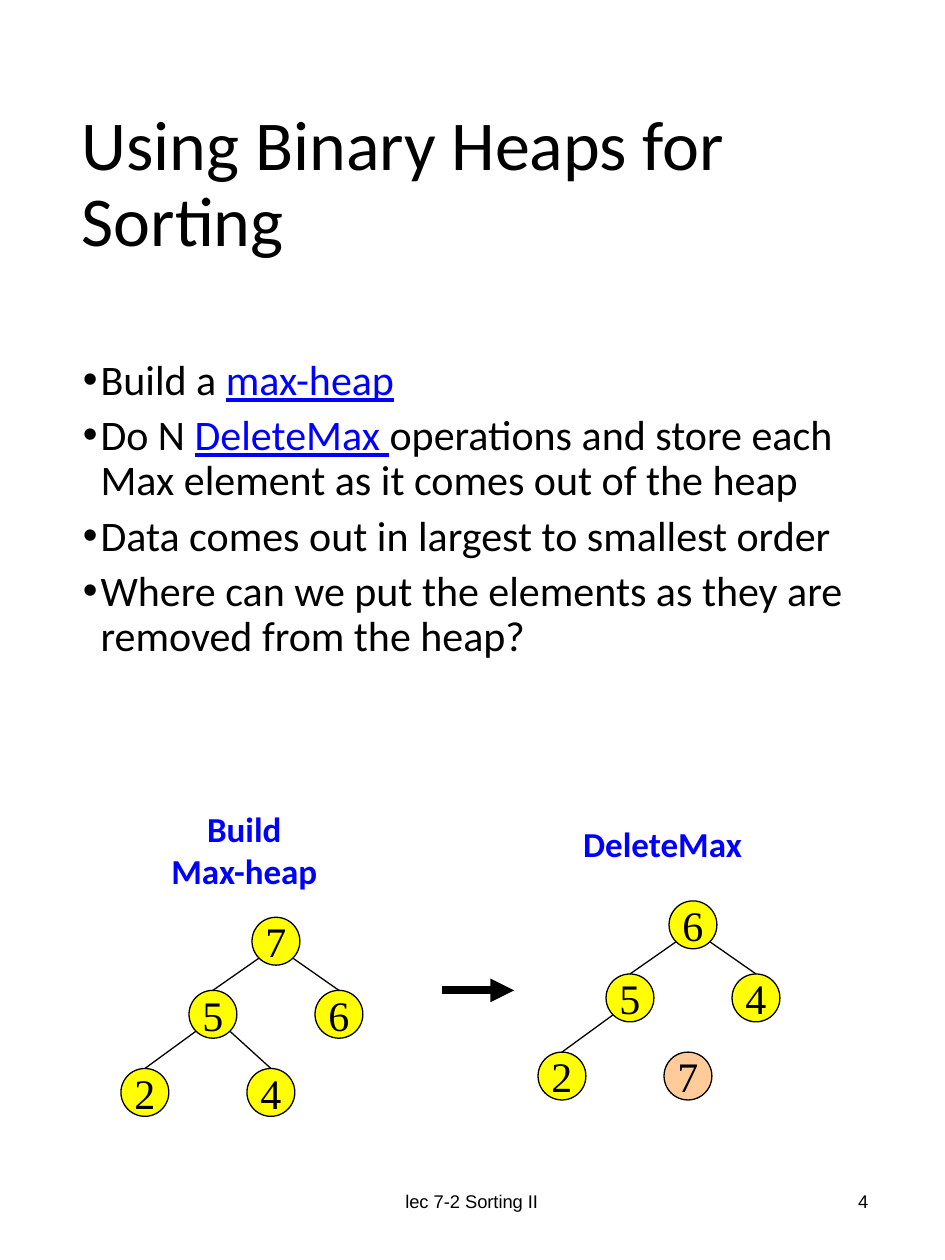
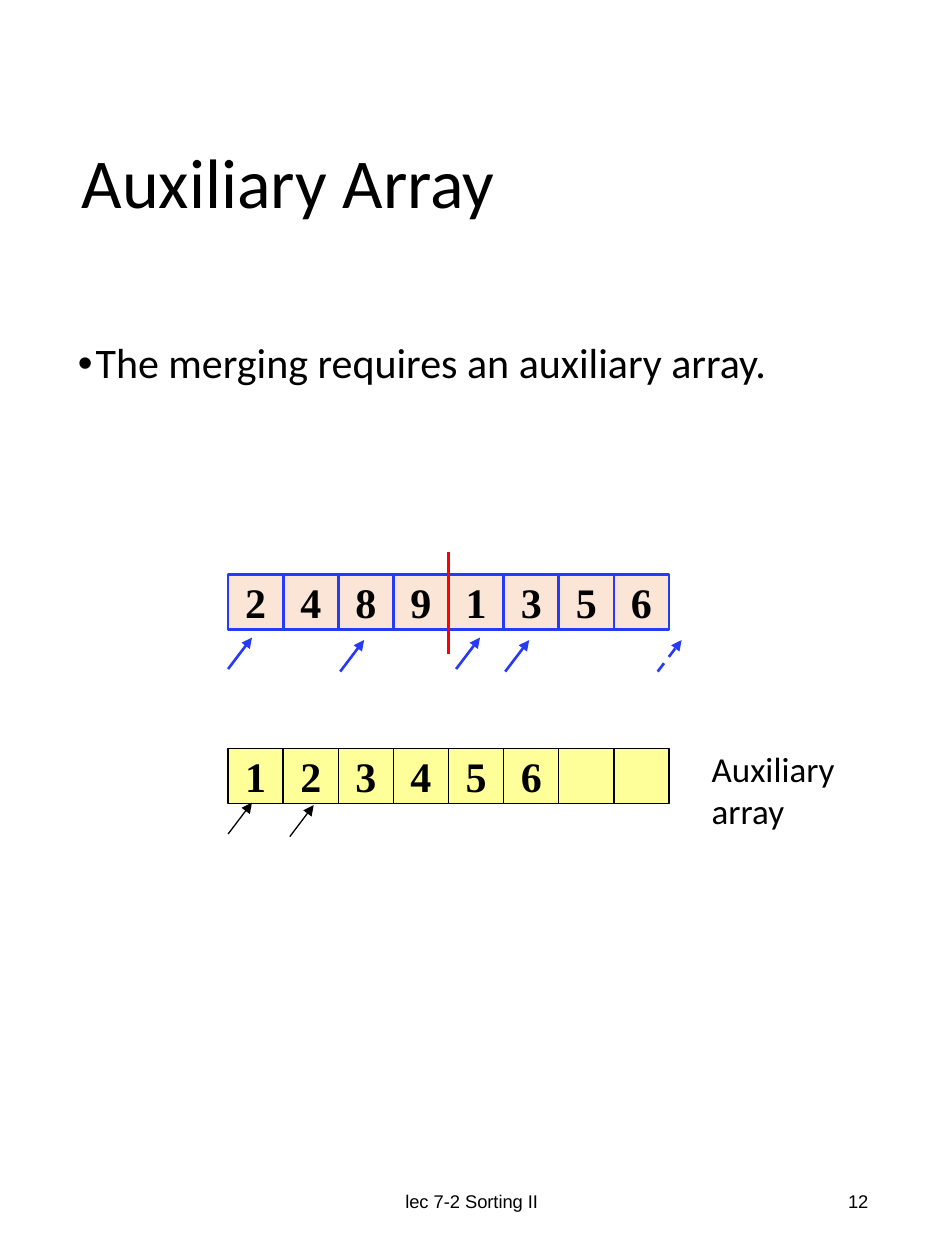
from lxml.etree import SubElement
from pptx import Presentation
from pptx.dml.color import RGBColor
from pptx.enum.dml import MSO_LINE
from pptx.enum.shapes import MSO_CONNECTOR, MSO_SHAPE
from pptx.enum.text import MSO_ANCHOR as ANCHOR, MSO_AUTO_SIZE, PP_ALIGN as ALIGN
from pptx.oxml.ns import qn
from pptx.util import Inches, Pt

COLORS = {
    "black": "000000", "term": "0000FF", "node": "FFFF00", "removed": "FFCC99",
    "source": "FBE5D6", "pointer": "263AF8", "auxiliary": "FFFF99", "split": "FF0000",
}
BODY, DIGITS, FOOTER = "Calibri", "Times New Roman", "Arial"
FOOTER_TEXT = "lec 7-2 Sorting II"

# A paragraph is a list of runs; a run in a tuple is an underlined term.
HEAP_POINTS = [
    ["Build a ", ("max-heap",)],
    ["Do N ", ("DeleteMax ",),
     "operations and store each Max element as it comes out of the heap"],
    ["Data comes out in largest to smallest order"],
    ["Where can we put the elements as they are removed from the heap?"],
]
ARRAY_POINTS = [["The merging requires an auxiliary array."]]

# Heaps in level order: where the root is, the values, the values already removed
HEAPS = [
    {"root": (2, 7.28), "values": "75624", "removed": ""},
    {"root": (5.31, 7.15), "values": "65427", "removed": "7"},
]
LEVEL_ORDER = [(0, 0), (-0.5, 0.58), (0.5, 0.58), (-1.04, 1.2), (-0.04, 1.2)]
NODE = 0.38

ROW_LEFT, CELL = 1.81, 3.5 / 8
SOURCE_TOP, AUX_TOP = 4.56, 5.94
SOURCE_VALUES = "24891356"
AUX_VALUES = ["1", "2", "3", "4", "5", "6", "", ""]
SOURCE_POINTERS = [(1.81, 5.31), (2.7, 5.33), (3.62, 5.31), (4.01, 5.33)]
DONE_POINTER = (5.22, 5.33)
AUX_POINTERS = [(1.81, 6.62), (2.3, 6.64)]


def rgb(name):
    return RGBColor.from_string(COLORS[name])


def write(tf, paragraphs, font=BODY, size=24, color="black", bold=False, align=ALIGN.LEFT,
          anchor=ANCHOR.TOP, wrap=True, spacing=None, bullets=False):
    tf.word_wrap = wrap
    tf.vertical_anchor = anchor
    for i, runs in enumerate(paragraphs):
        p = tf.paragraphs[0] if i == 0 else tf.add_paragraph()
        p.alignment = align
        if spacing:
            p.line_spacing = spacing
        if bullets:
            if i:
                p.space_before = Pt(5.7)
            pPr = p._p.get_or_add_pPr()
            pPr.set("marL", str(Inches(0.14)))
            pPr.set("indent", str(-Inches(0.14)))
            SubElement(pPr, qn("a:buFont"), typeface="Arial")
            SubElement(pPr, qn("a:buChar"), char="•")
        for run in runs:
            is_term = isinstance(run, tuple)
            r = p.add_run()
            r.text = run[0] if is_term else run
            r.font.name, r.font.size, r.font.bold = font, Pt(size), bold
            r.font.underline = is_term
            r.font.color.rgb = rgb("term" if is_term else color)


def add_text(s, box, paragraphs, grow=False, **fmt):
    tf = s.shapes.add_textbox(*map(Inches, box)).text_frame
    write(tf, paragraphs, **fmt)
    if grow:
        tf.auto_size = MSO_AUTO_SIZE.SHAPE_TO_FIT_TEXT


def add_value(s, kind, left, top, side, value, fill, line="black", width=0.75, bold=False):
    """Draw one heap node or array cell with its value."""
    sp = s.shapes.add_shape(kind, *map(Inches, (left, top, side, side)))
    sp.shadow.inherit = False
    sp.fill.solid()
    sp.fill.fore_color.rgb = rgb(fill)
    sp.line.color.rgb = rgb(line)
    sp.line.width = Pt(width)
    if value:
        write(sp.text_frame, [[value]], font=DIGITS, bold=bold, align=ALIGN.CENTER,
              anchor=ANCHOR.MIDDLE, wrap=False)
    return sp


def add_line(s, start, end, color="black", width=0.75, arrow=False, dashed=False):
    cx = s.shapes.add_connector(MSO_CONNECTOR.STRAIGHT, *map(Inches, (*start, *end)))
    cx.line.color.rgb = rgb(color)
    cx.line.width = Pt(width)
    if dashed:
        cx.line.dash_style = MSO_LINE.DASH
    if arrow:
        SubElement(cx.line._get_or_add_ln(), qn("a:tailEnd"), type="triangle")
    SubElement(cx._element.spPr, qn("a:effectLst"))
    return cx


def add_pointer(s, start, **fmt):
    x, y = start
    add_line(s, start, (x + 0.19, y - 0.25), arrow=True, **fmt)


def add_heap(s, root, values, removed):
    nodes = []
    for i, (value, (dx, dy)) in enumerate(zip(values, LEVEL_ORDER)):
        left, top = root[0] + dx, root[1] + dy
        gone = value in removed
        sp = add_value(s, MSO_SHAPE.OVAL, left, top, NODE, value, "removed" if gone else "node")
        nodes.append((left + NODE / 2, top + NODE / 2))
        if i and not gone:
            px, py = nodes[(i - 1) // 2]
            reach = NODE / 2 * 0.71
            start = (px + (reach if i % 2 == 0 else -reach), py + reach)
            add_line(s, start, (left + NODE / 2, top)).end_connect(sp, 0)


def add_array(s, top, values, **fmt):
    for i, value in enumerate(values):
        add_value(s, MSO_SHAPE.RECTANGLE, ROW_LEFT + i * CELL, top, CELL, value, bold=True, **fmt)


def add_slide(prs, title, number, points, body):
    s = prs.slides.add_slide(prs.slide_layouts[6])
    small = {"font": FOOTER, "size": 10.5, "anchor": ANCHOR.MIDDLE}
    add_text(s, (2.48, 9.27, 2.53, 0.53), [[FOOTER_TEXT]], align=ALIGN.CENTER, **small)
    add_text(s, (5.3, 9.27, 1.69, 0.53), [[str(number)]], align=ALIGN.RIGHT, **small)
    add_text(s, (0.55, 0.51, 6.47, 1.93), [[title]], size=40, anchor=ANCHOR.MIDDLE, spacing=0.9)
    add_text(s, body, points, spacing=0.9, bullets=True)
    return s


def add_heap_slide(prs):
    s = add_slide(prs, "Using Binary Heaps for Sorting", 4, HEAP_POINTS, (0.56, 2.8, 6.43, 4.39))
    label = {"size": 20, "color": "term", "bold": True, "wrap": False, "grow": True}
    add_text(s, (1.16, 6.36, 1.56, 0.77), [["Build"], ["Max-heap"]], align=ALIGN.CENTER, **label)
    add_text(s, (4.53, 6.48, 1.67, 0.44), [["DeleteMax"]], **label)
    add_line(s, (3.51, 7.86), (4.08, 7.86), width=4.5, arrow=True)
    for heap in HEAPS:
        add_heap(s, **heap)


def add_array_slide(prs):
    s = add_slide(prs, "Auxiliary Array", 12, ARRAY_POINTS, (0.52, 2.67, 6.47, 6.34))
    add_array(s, SOURCE_TOP, SOURCE_VALUES, fill="source", line="pointer", width=1.5)
    middle = ROW_LEFT + 4 * CELL
    add_line(s, (middle, 4.38), (middle, 5.19), color="split", width=1.5)
    add_array(s, AUX_TOP, AUX_VALUES, fill="auxiliary")
    add_text(s, (5.55, 5.88, 1.44, 0.77), [["Auxiliary array"]], size=20, grow=True)
    for start in SOURCE_POINTERS:
        add_pointer(s, start, color="pointer", width=1.5)
    add_pointer(s, DONE_POINTER, color="pointer", width=1.5, dashed=True)
    for start in AUX_POINTERS:
        add_pointer(s, start)


def main():
    prs = Presentation()
    prs.slide_width, prs.slide_height = Inches(7.5), Inches(10)
    add_heap_slide(prs)
    add_array_slide(prs)
    prs.save("out.pptx")


if __name__ == "__main__":
    main()
